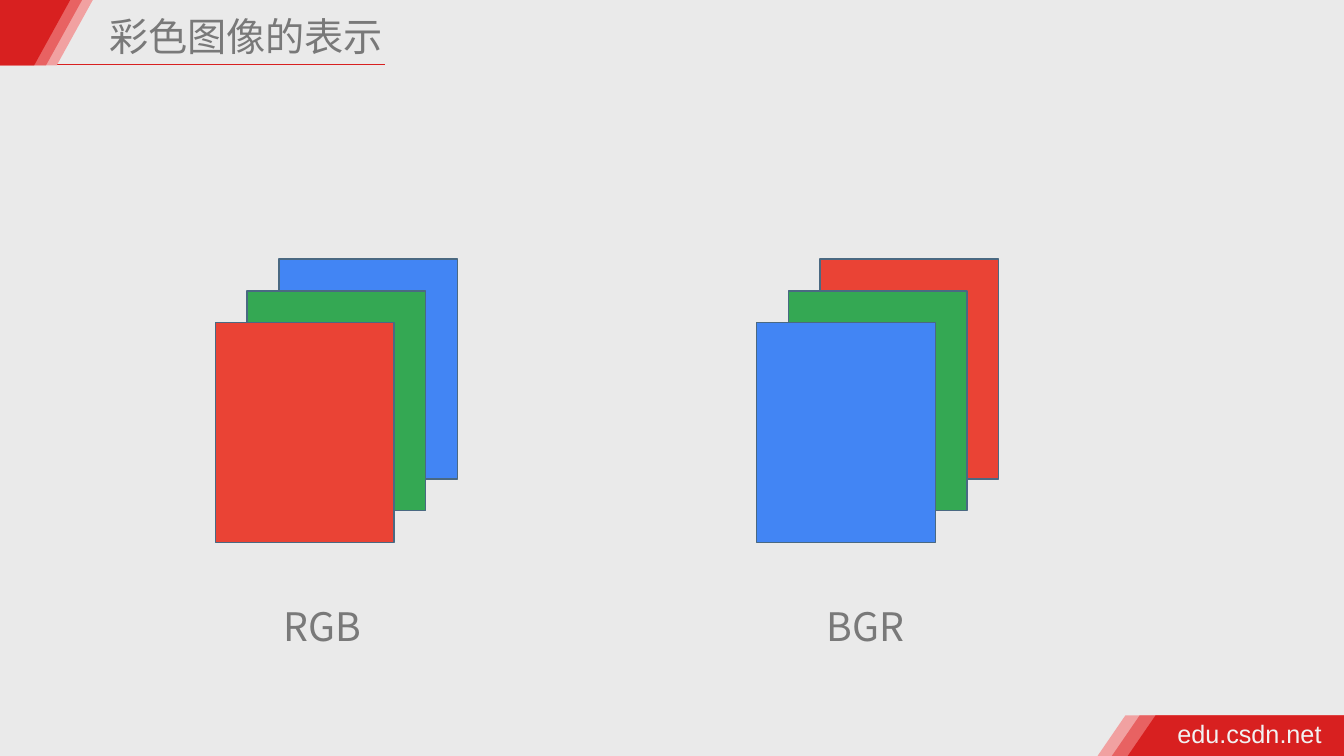
from lxml import etree
from pptx import Presentation
from pptx.dml.color import RGBColor
from pptx.enum.shapes import MSO_CONNECTOR, MSO_SHAPE
from pptx.enum.text import MSO_ANCHOR, PP_ALIGN
from pptx.oxml.ns import qn
from pptx.util import Cm, Pt

BACKGROUND = RGBColor(0xEA, 0xEA, 0xEA)
BRIGHT_RED = RGBColor(0xD8, 0x20, 0x20)
MID_RED = RGBColor(0xE8, 0x62, 0x62)
PALE_RED = RGBColor(0xF1, 0xA1, 0xA1)
GREY = RGBColor(0x79, 0x79, 0x79)
OFF_WHITE = RGBColor(0xF2, 0xF2, 0xF2)
OUTLINE = RGBColor(0x4A, 0x69, 0x82)
RED = RGBColor(0xEA, 0x43, 0x35)
GREEN = RGBColor(0x34, 0xA8, 0x53)
BLUE = RGBColor(0x42, 0x85, 0xF4)

CJK_FONT = "Noto Sans CJK SC"
SLIDE_W, SLIDE_H = 33.87, 19.05
CARD_W, CARD_H, CARD_STEP = 4.5, 5.54, 0.8


def write(shape, text, font, size, color, spacing=1.0, align=PP_ALIGN.LEFT, wrap=True):
    tf = shape.text_frame
    tf.word_wrap = wrap
    tf.vertical_anchor = MSO_ANCHOR.MIDDLE
    tf.margin_left = tf.margin_right = tf.margin_top = tf.margin_bottom = Cm(0.13)
    p = tf.paragraphs[0]
    p.text = text
    p.alignment = align
    p.line_spacing = spacing
    p.font.name, p.font.size, p.font.color.rgb = font, Pt(size), color
    for r in p.runs:
        etree.SubElement(r._r.get_or_add_rPr(), qn("a:ea")).set("typeface", font)


def add_band(slide, corners, color):
    """Draw a borderless polygon through corners given in centimetres."""
    points = [(Cm(x), Cm(y)) for x, y in corners]
    builder = slide.shapes.build_freeform(*points[0])
    builder.add_line_segments(points[1:])
    sp = builder.convert_to_shape()
    sp.shadow.inherit = False
    sp.fill.solid()
    sp.fill.fore_color.rgb = color
    sp.line.fill.background()


def add_header(slide, text, height):
    rule = slide.shapes.add_connector(
        MSO_CONNECTOR.STRAIGHT, Cm(1.24), Cm(height - 0.02), Cm(9.7), Cm(height - 0.02))
    rule.line.color.rgb = BRIGHT_RED
    rule.line.width = Pt(1)
    etree.SubElement(rule._element.spPr, qn("a:effectLst"))

    for right, color in ((2.34, PALE_RED), (2.07, MID_RED), (1.77, BRIGHT_RED)):
        add_band(slide, [(0, 0), (right, 0), (right - 0.91, height), (0, height)], color)

    title = slide.shapes.title
    title.left, title.top, title.width, title.height = Cm(2.62), Cm(0.3), Cm(11.07), Cm(1.35)
    write(title, text, CJK_FONT, 28, GREY, 0.9)


def add_footer(slide, text, top):
    for left, color in ((28.36, PALE_RED), (28.72, MID_RED), (29.12, BRIGHT_RED)):
        add_band(slide, [(left, top), (SLIDE_W, top), (SLIDE_W, SLIDE_H),
                         (left - 0.7, SLIDE_H)], color)
    box = slide.shapes.add_textbox(Cm(29.54), Cm(top - 0.05), Cm(3.94), Cm(1.02))
    write(box, text, "Arial", 18, OFF_WHITE, wrap=False)


def add_channel_stack(slide, left, top, colors, label, label_left):
    """Stack cards from back (upper right) to front (lower left) above a label."""
    for i, color in enumerate(colors):
        x = left + (len(colors) - 1 - i) * CARD_STEP
        card = slide.shapes.add_shape(
            MSO_SHAPE.RECTANGLE, Cm(x), Cm(top + i * CARD_STEP), Cm(CARD_W), Cm(CARD_H))
        card.shadow.inherit = False
        card.fill.solid()
        card.fill.fore_color.rgb = color
        card.line.color.rgb = OUTLINE
        card.line.width = Pt(1)
    box = slide.shapes.add_textbox(Cm(label_left), Cm(top + 7.92), Cm(3.45), Cm(2.06))
    write(box, label, CJK_FONT, 28, GREY, 1.5, PP_ALIGN.CENTER)


def main():
    prs = Presentation()
    prs.slide_width, prs.slide_height = Cm(SLIDE_W), Cm(SLIDE_H)
    slide = prs.slides.add_slide(prs.slide_layouts[5])
    slide.background.fill.solid()
    slide.background.fill.fore_color.rgb = BACKGROUND

    add_header(slide, "彩色图像的表示", 1.65)
    add_footer(slide, "edu.csdn.net", 18.03)
    add_channel_stack(slide, 5.43, 6.53, (BLUE, GREEN, RED), "RGB", 6.4)
    add_channel_stack(slide, 19.07, 6.53, (RED, GREEN, BLUE), "BGR", 20.09)
    prs.save("out.pptx")


if __name__ == "__main__":
    main()
